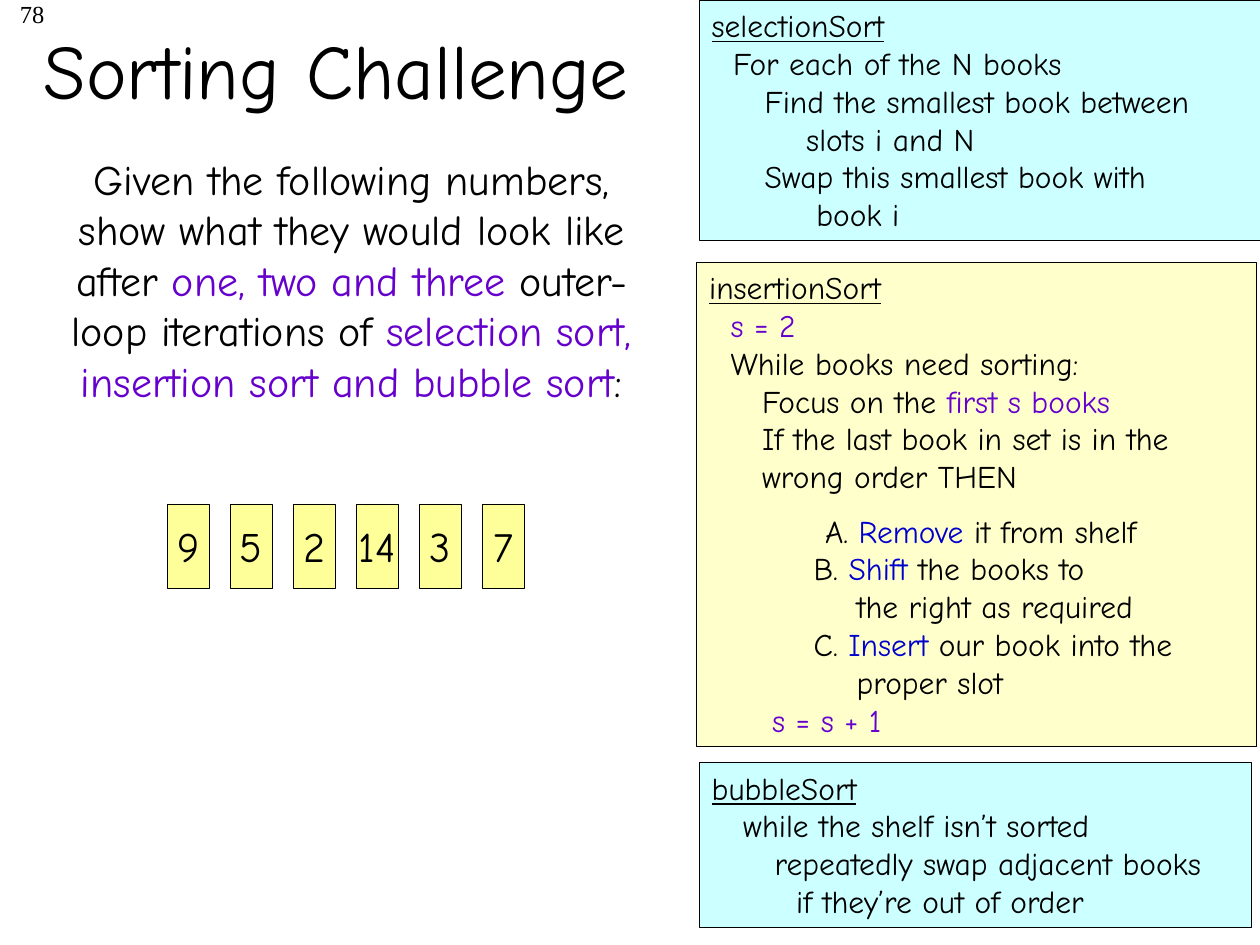
from dataclasses import dataclass

import pptx
import pptx.dml.color
import pptx.enum.shapes
import pptx.enum.text
import pptx.util
from pptx.dml.color import RGBColor
from pptx.util import Inches, Pt

BLACK = RGBColor(0x00, 0x00, 0x00)
PURPLE = RGBColor(0x66, 0x00, 0xCC)
BLUE = RGBColor(0x00, 0x00, 0xCC)
CARD_YELLOW = RGBColor(0xFF, 0xFF, 0x99)
PALE_YELLOW = RGBColor(0xFF, 0xFF, 0xCC)
PALE_CYAN = RGBColor(0xCC, 0xFF, 0xFF)
FONT = "Comic Neue"
CENTER = pptx.enum.text.PP_ALIGN.CENTER
MIDDLE = pptx.enum.text.MSO_ANCHOR.MIDDLE


@dataclass
class Run:
    text: str
    color: RGBColor = BLACK
    underline: bool = False


@dataclass
class Line:
    """One paragraph; left is the margin, first the start of its first row."""
    runs: list[Run]
    left: float = 0
    first: float | None = None
    space_before: float = 0


@dataclass
class Panel:
    box: tuple[float, float, float, float]
    fill: RGBColor
    lines: list[Line]
    wrap: bool = True


PANELS = [
    Panel((5.55, 0, 4.45, 1.91), PALE_CYAN, [
        Line([Run("selectionSort", underline=True)]),
        Line([Run("For each of the N books")], 0.17),
        Line([Run("Find the smallest book between\nslots i and N")], 0.75, 0.42),
        Line([Run("Swap this smallest book with\nbook i")], 0.83, 0.42),
    ]),
    Panel((5.53, 2.08, 4.44, 3.84), PALE_YELLOW, [
        Line([Run("insertionSort", underline=True)]),
        Line([Run("s = 2", PURPLE)], 0.17),
        Line([Run("While books need sorting:\nFocus on the "),
              Run("first s books", PURPLE)], 0.42, 0.17),
        Line([Run("If the last book in set is in the\nwrong order THEN")], 0.42),
        Line([Run("A. "), Run("Remove", BLUE), Run(" it from shelf")],
             0.92, space_before=9.5),
        Line([Run("B. "), Run("Shift", BLUE),
              Run(" the books to\nthe right as required")], 1.17, 0.83),
        Line([Run("C. "), Run("Insert", BLUE),
              Run(" our book into the\nproper slot")], 1.17, 0.83),
        Line([Run("s = s + 1", PURPLE)], 0.5),
    ]),
    Panel((5.55, 6.05, 4.38, 1.31), PALE_CYAN, [
        Line([Run("bubbleSort", underline=True),
              Run("\nwhile the shelf isn’t sorted")], 0.25, 0),
        Line([Run("repeatedly swap adjacent books\nif they’re out of order")],
             0.67, 0.5),
    ], wrap=False),
]

CHALLENGE = [
    Run("Given the following numbers, show what they would look like after "),
    Run("one, two and three", PURPLE),
    Run(" outer-loop iterations of "),
    Run("selection sort, insertion sort and bubble sort", PURPLE),
    Run(":"),
]
NUMBERS = [9, 5, 2, 14, 3, 7]
CARD_LEFT, CARD_TOP, CARD_PITCH = 1.33, 4, 0.5
CARD_WIDTH, CARD_HEIGHT = 0.33, 0.67


def add_runs(paragraph, runs: list[Run], size: float, font_name: str = FONT) -> None:
    """Add the runs, turning each newline into a line break."""
    for run in runs:
        for index, text in enumerate(run.text.split("\n")):
            if index:
                paragraph.add_line_break()
            if not text:
                continue
            part = paragraph.add_run()
            part.text = text
            values = {"name": font_name, "size": Pt(size), "underline": run.underline}
            for name, value in values.items():
                setattr(part.font, name, value)
            part.font.color.rgb = run.color


def add_rectangle(slide, box: tuple[float, float, float, float], fill: RGBColor):
    shape = slide.shapes.add_shape(
        pptx.enum.shapes.MSO_SHAPE.RECTANGLE, *map(Inches, box))
    shape.shadow.inherit = False
    shape.fill.solid()
    shape.fill.fore_color.rgb = fill
    shape.line.color.rgb = BLACK
    shape.line.width = Pt(0.25)
    return shape


def add_panel(slide, panel: Panel) -> None:
    frame = add_rectangle(slide, panel.box, panel.fill).text_frame
    frame.word_wrap = panel.wrap
    frame.vertical_anchor = pptx.enum.text.MSO_ANCHOR.TOP
    for index, line in enumerate(panel.lines):
        paragraph = frame.add_paragraph() if index else frame.paragraphs[0]
        paragraph.alignment = pptx.enum.text.PP_ALIGN.LEFT
        if line.space_before:
            paragraph.space_before = Pt(line.space_before)
        first = line.left if line.first is None else line.first
        properties = paragraph._p.get_or_add_pPr()
        properties.set("marL", str(Inches(line.left)))
        properties.set("indent", str(Inches(first - line.left)))
        add_runs(paragraph, line.runs, 18)


def add_card(slide, left: float, number: int) -> None:
    box = (left, CARD_TOP, CARD_WIDTH, CARD_HEIGHT)
    frame = add_rectangle(slide, box, CARD_YELLOW).text_frame
    frame.word_wrap = False
    frame.vertical_anchor = MIDDLE
    frame.paragraphs[0].alignment = CENTER
    add_runs(frame.paragraphs[0], [Run(str(number))], 24)


def add_text(slide, box: tuple[float, float, float, float], runs: list[Run],
             size: float, alignment, font_name: str = FONT) -> None:
    frame = slide.shapes.add_textbox(*map(Inches, box)).text_frame
    frame.word_wrap = True
    frame.paragraphs[0].alignment = alignment
    add_runs(frame.paragraphs[0], runs, size, font_name)


def set_title(slide, text: str) -> None:
    title = slide.shapes.title
    box = {"left": -1.58, "top": -0.08, "width": 8.5, "height": 1.25}
    for name, value in box.items():
        setattr(title, name, Inches(value))
    title.text_frame.vertical_anchor = MIDDLE
    title.text_frame.paragraphs[0].alignment = CENTER
    add_runs(title.text_frame.paragraphs[0], [Run(text)], 44)


def main() -> None:
    presentation = pptx.Presentation()
    presentation.slide_width = Inches(10)
    presentation.slide_height = Inches(7.5)
    slide = presentation.slides.add_slide(presentation.slide_layouts[5])
    add_text(slide, (-1.63, -0.06, 2.08, 0.5), [Run("78")], 14,
             pptx.enum.text.PP_ALIGN.RIGHT, "Times New Roman")
    set_title(slide, "Sorting Challenge")
    add_text(slide, (0.33, 1.17, 4.92, 2.5), CHALLENGE, 24, CENTER)
    for index, number in enumerate(NUMBERS):
        add_card(slide, CARD_LEFT + index * CARD_PITCH, number)
    for panel in PANELS:
        add_panel(slide, panel)
    presentation.save("out.pptx")


if __name__ == "__main__":
    main()
